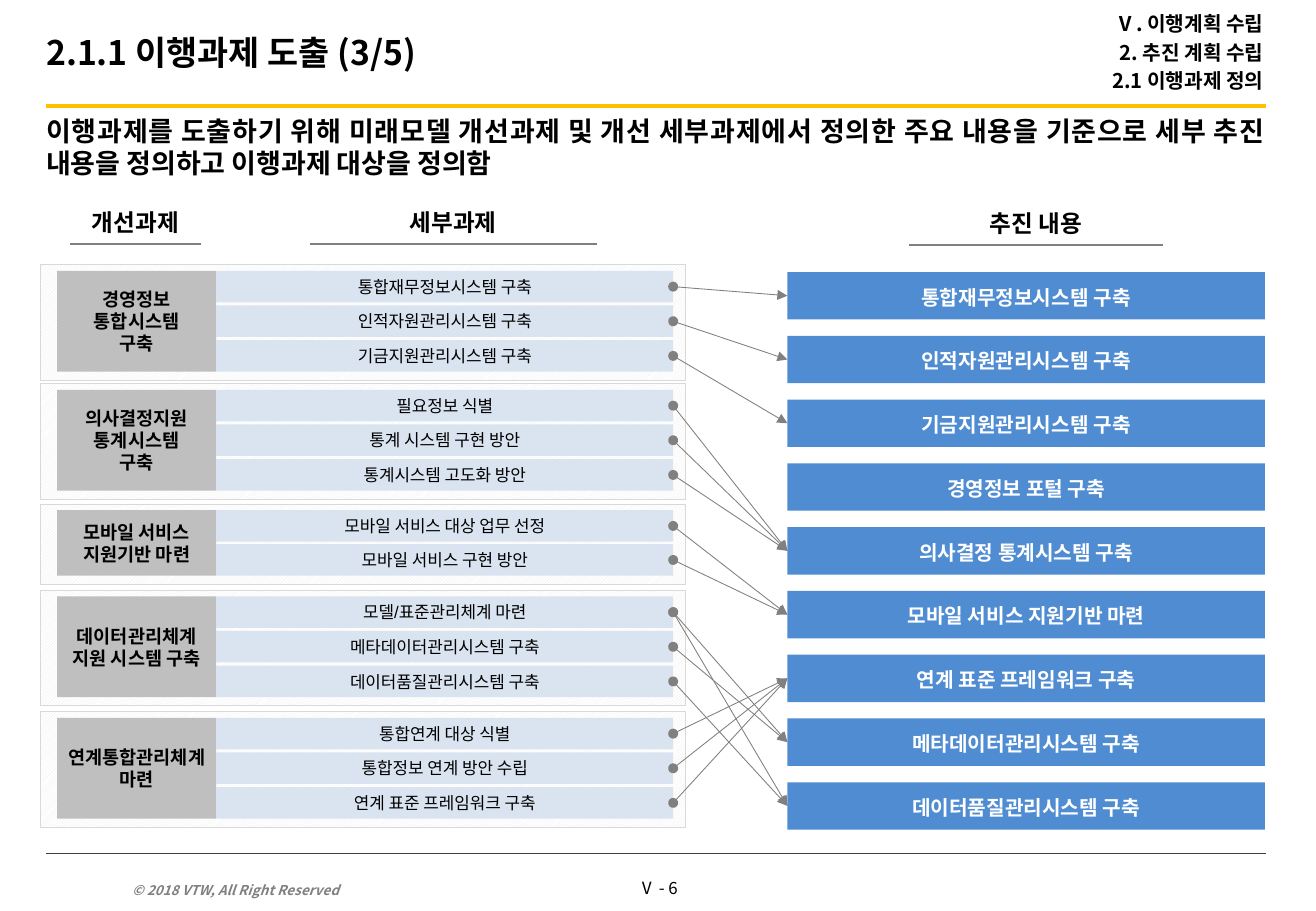
import pptx
import pptx.util
import pptx.dml.color
import pptx.enum.dml
import pptx.enum.shapes
import pptx.enum.text
import pptx.oxml
import pptx.oxml.ns

Inches, Pt = pptx.util.Inches, pptx.util.Pt
ALIGN = pptx.enum.text.PP_ALIGN
ANCHOR = pptx.enum.text.MSO_ANCHOR

NOTO = "Noto Sans CJK KR"
ARIAL = "Arial"
COLORS = {
    "black": "000000", "white": "FFFFFF", "gold": "FFC000", "dark": "404040",
    "gray": "808080", "label": "BFBFBF", "row": "DAE4F0", "plan": "508CD2",
    "edge": "D9D9D9", "hatch": "EAEAEA",
}

TITLE = "2.1.1 이행과제 도출 (3/5)"
TRAIL = ["Ⅴ. 이행계획 수립", "2. 추진 계획 수립", "2.1 이행과제 정의"]
LEAD = ("이행과제를 도출하기 위해 미래모델 개선과제 및 개선 세부과제에서 정의한 "
        "주요 내용을 기준으로 세부 추진 내용을 정의하고 이행과제 대상을 정의함")
RIGHTS = "© 2018 VTW, All Right Reserved"
PAGE = "Ⅴ - 6"

# heading, left, width, rule height
HEADS = [
    ("개선과제", 0.58, 1.07, 2.01),
    ("세부과제", 2.55, 2.36, 2.01),
    ("추진 내용", 7.48, 2.09, 2.02),
]
PLANS = [
    "통합재무정보시스템 구축", "인적자원관리시스템 구축", "기금지원관리시스템 구축",
    "경영정보 포털 구축", "의사결정 통계시스템 구축", "모바일 서비스 지원기반 마련",
    "연계 표준 프레임워크 구축", "메타데이터관리시스템 구축", "데이터품질관리시스템 구축",
]
# top, label lines, rows of (task, indexes of the plans it leads to)
GROUPS = [
    (2.23, ["경영정보", "통합시스템", "구축"], [
        ("통합재무정보시스템 구축", [0]),
        ("인적자원관리시스템 구축", [1]),
        ("기금지원관리시스템 구축", [2])]),
    (3.21, ["의사결정지원", "통계시스템", "구축"], [
        ("필요정보 식별", [4]),
        ("통계 시스템 구현 방안", [4]),
        ("통계시스템 고도화 방안", [4])]),
    (4.20, ["모바일 서비스", "지원기반 마련"], [
        ("모바일 서비스 대상 업무 선정", [5]),
        ("모바일 서비스 구현 방안", [5])]),
    (4.91, ["데이터관리체계 지원 시스템 구축"], [
        ("모델/표준관리체계 마련", [7, 8]),
        ("메타데이터관리시스템 구축", [7]),
        ("데이터품질관리시스템 구축", [8])]),
    (5.91, ["연계통합관리체계 마련"], [
        ("통합연계 대상 식별", [6]),
        ("통합정보 연계 방안 수립", [6]),
        ("연계 표준 프레임워크 구축", [6])]),
]

LEFT, RIGHT = 0.38, 10.42
LABEL_X, LABEL_W = 0.47, 1.31
ROW_X, ROW_W, ROW_H = 1.78, 3.76, 0.26
CARD_X, CARD_W = 0.33, 5.31
PLAN_X, PLAN_Y, PLAN_W, PLAN_H = 6.48, 2.24, 3.93, 0.39
PLAN_STEP = (6.44 - PLAN_Y) / (len(PLANS) - 1)


def rgb(name):
    return pptx.dml.color.RGBColor.from_string(COLORS[name])


def write(shape, lines, size, font=ARIAL, color="black", bold=True, italic=False,
          align=ALIGN.CENTER, anchor=ANCHOR.MIDDLE, pad=(0, 0, 0, 0),
          gap=0, lead=None):
    frame = shape.text_frame
    frame.auto_size = pptx.enum.text.MSO_AUTO_SIZE.NONE
    frame.word_wrap = True
    frame.vertical_anchor = anchor
    (frame.margin_left, frame.margin_top,
     frame.margin_right, frame.margin_bottom) = map(Inches, pad)
    for i, line in enumerate(lines):
        para = frame.add_paragraph() if i else frame.paragraphs[0]
        para.alignment = align
        para.space_before = Pt(gap if i else 0)
        if lead:
            para.line_spacing = lead
        run = para.add_run()
        run.text = line
        run.font.name, run.font.size = font, Pt(size)
        run.font.bold, run.font.italic = bold, italic
        run.font.color.rgb = rgb(color)


def place(shape, x, y, w, h):
    shape.left, shape.top = Inches(x), Inches(y)
    shape.width, shape.height = Inches(w), Inches(h)


def plain(shape):
    """Drop the bullet and hanging indent of each paragraph."""
    for para in shape.text_frame.paragraphs:
        props = para._p.get_or_add_pPr()
        props.set("marL", "0")
        props.set("indent", "0")
        props.append(props.makeelement(pptx.oxml.ns.qn("a:buNone"), {}))


def text(x, y, w, h, line, size, **style):
    box = slide.shapes.add_textbox(Inches(x), Inches(y), Inches(w), Inches(h))
    write(box, [line], size, **style)


def rect(x, y, w, h, fill=None):
    shape = slide.shapes.add_shape(pptx.enum.shapes.MSO_SHAPE.RECTANGLE,
                                   Inches(x), Inches(y), Inches(w), Inches(h))
    shape.shadow.inherit = False
    shape.line.fill.background()
    if fill:
        shape.fill.solid()
        shape.fill.fore_color.rgb = rgb(fill)
    return shape


def card(y, h):
    shape = rect(CARD_X, y, CARD_W, h)
    shape.fill.patterned()
    shape.fill.pattern = pptx.enum.dml.MSO_PATTERN.DARK_UPWARD_DIAGONAL
    shape.fill.fore_color.rgb = rgb("hatch")
    shape.fill.back_color.rgb = rgb("white")
    shape.line.color.rgb = rgb("edge")
    shape.line.width = Pt(0.5)


def rule(x1, y1, x2, y2, color, width, arrow=False):
    line = slide.shapes.add_connector(pptx.enum.shapes.MSO_CONNECTOR.STRAIGHT,
                                      Inches(x1), Inches(y1), Inches(x2), Inches(y2))
    line.line.color.rgb = rgb(color)
    line.line.width = Pt(width)
    props = line._element.spPr
    if arrow:
        stroke = line.line._get_or_add_ln()
        for tag, kind in (("a:headEnd", "oval"), ("a:tailEnd", "triangle")):
            stroke.append(stroke.makeelement(pptx.oxml.ns.qn(tag), {"type": kind}))
    props.append(props.makeelement(pptx.oxml.ns.qn("a:effectLst"), {}))


deck = pptx.Presentation()
deck.slide_width, deck.slide_height = Inches(10.83), Inches(7.5)
slide = deck.slides.add_slide(deck.slide_layouts[3])
title, lead, trail = slide.placeholders

rule(LEFT, 0.87, RIGHT, 0.87, "gold", 2.5)
rule(LEFT, 7.03, RIGHT, 7.03, "dark", 0.5)
text(0.99, 7.17, 2.37, 0.27, RIGHTS, 8, font=NOTO, color="gray", italic=True,
     align=ALIGN.LEFT, anchor=ANCHOR.BOTTOM, pad=(0.1, 0.05, 0.1, 0.05))
text(5.12, 7.18, 0.59, 0.27, PAGE, 10, font=NOTO, bold=False,
     anchor=ANCHOR.TOP, pad=(0, 0.05, 0, 0.05))

place(title, LEFT, 0, 7.87, 0.85)
write(title, [TITLE], 20, font=NOTO, align=ALIGN.LEFT, pad=(0, 0.05, 0.1, 0.05))
place(lead, LEFT, 0.94, RIGHT - LEFT, 0.68)
write(lead, [LEAD], 16, font=NOTO, align=ALIGN.JUSTIFY, anchor=ANCHOR.TOP)
place(trail, 4.94, 0, 5.46, 0.86)
write(trail, TRAIL, 12, font=NOTO, align=ALIGN.RIGHT, pad=(0, 0.05, 0, 0.05), gap=2.4)
plain(lead)
plain(trail)

for head, x, w, y in HEADS:
    text(x, y - 0.36, w, 0.35, head, 14, anchor=ANCHOR.TOP,
         pad=(0, 0.05, 0, 0.05), lead=1.05)
    rule(x, y, x + w, y, "gray", 1)

for i, plan in enumerate(PLANS):
    box = rect(PLAN_X, PLAN_Y + i * PLAN_STEP, PLAN_W, PLAN_H, "plan")
    write(box, [plan], 12, color="white", pad=(0.02, 0.04, 0.02, 0.02))

for top, label, rows in GROUPS:
    tall = 0.29 * len(rows) - 0.04
    step = (tall - ROW_H) / (len(rows) - 1)
    card(top - 0.05, tall + 0.12)
    write(rect(LABEL_X, top, LABEL_W, tall, "label"), label, 11,
          pad=(0.04, 0, 0.04, 0))
    for i, (task, goals) in enumerate(rows):
        y = top + i * step
        write(rect(ROW_X, y, ROW_W, ROW_H, "row"), [task], 10, bold=False,
              pad=(0.02, 0.02, 0.02, 0.02))
        for goal in goals:
            rule(ROW_X + ROW_W, y + ROW_H / 2,
                 PLAN_X, PLAN_Y + goal * PLAN_STEP + PLAN_H / 2,
                 "gray", 0.5, arrow=True)

deck.save("out.pptx")
